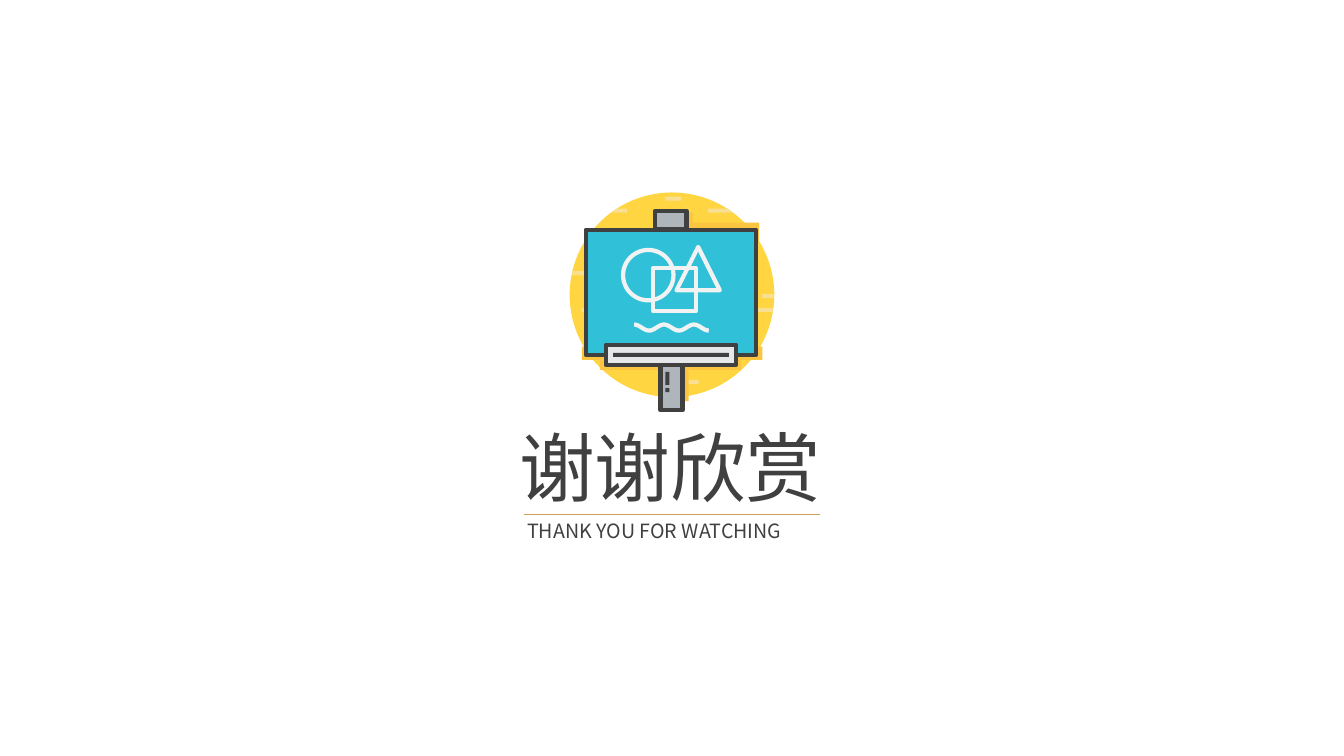
from dataclasses import dataclass
from math import cos, pi

from lxml.etree import SubElement
from pptx import Presentation
from pptx.dml.color import RGBColor
from pptx.enum.shapes import MSO_CONNECTOR, MSO_SHAPE
from pptx.enum.text import MSO_AUTO_SIZE, PP_ALIGN
from pptx.oxml.ns import qn
from pptx.util import Inches, Pt


@dataclass(frozen=True)
class Theme:
    font: str = "Noto Sans CJK SC"
    title_size: float = 54
    subtitle_size: float = 14
    outline_width: float = 3
    rule_width: float = 0.5
    text: str = "404040"
    outline: str = "404041"
    rule: str = "CBA25D"
    disc: str = "FFD641"
    stripe: str = "F9DF92"
    shade: str = "FCC541"
    metal: str = "AFB6BB"
    ledge: str = "E6E7E8"
    board: str = "30C1D8"
    chalk: str = "F1F2F2"


def format_text(frame, text, size, font, color, align=PP_ALIGN.LEFT):
    paragraph = frame.paragraphs[0]
    paragraph.alignment = align
    run = paragraph.add_run()
    run.text = text
    run.font.size = Pt(size)
    run.font.name = font
    run.font.color.rgb = RGBColor.from_string(color)
    SubElement(run.font._element, qn("a:ea")).set("typeface", font)


class SlideBuilder:
    def __init__(self, slide, theme):
        self.slide = slide
        self.theme = theme

    def paint(self, shape, fill, line):
        shape.shadow.inherit = False
        if fill:
            shape.fill.solid()
            shape.fill.fore_color.rgb = RGBColor.from_string(fill)
        else:
            shape.fill.background()
        if line:
            shape.line.color.rgb = RGBColor.from_string(line)
            shape.line.width = Pt(self.theme.outline_width)
        else:
            shape.line.fill.background()

    def shape(self, box, fill=None, line=None, kind=MSO_SHAPE.RECTANGLE):
        shape = self.slide.shapes.add_shape(kind, *map(Inches, box))
        self.paint(shape, fill, line)

    def outline(self, points, fill=None, line=None, close=True):
        corners = [(Inches(x), Inches(y)) for x, y in points]
        builder = self.slide.shapes.build_freeform(*corners[0])
        builder.add_line_segments(corners[1:], close=close)
        self.paint(builder.convert_to_shape(), fill, line)

    def text(self, box, text, wrap=True, **text_format):
        frame = self.slide.shapes.add_textbox(*map(Inches, box)).text_frame
        frame.word_wrap = wrap
        frame.auto_size = MSO_AUTO_SIZE.SHAPE_TO_FIT_TEXT
        format_text(frame, text, font=self.theme.font, color=self.theme.text, **text_format)

    def rule(self, left, right, top):
        connector = self.slide.shapes.add_connector(
            MSO_CONNECTOR.STRAIGHT, Inches(left), Inches(top), Inches(right), Inches(top)
        )
        connector.line.color.rgb = RGBColor.from_string(self.theme.rule)
        connector.line.width = Pt(self.theme.rule_width)
        SubElement(connector._element.spPr, qn("a:effectLst"))


def draw_backdrop(builder):
    theme = builder.theme
    builder.shape((5.65, 1.91, 2.03, 2.03), theme.disc, kind=MSO_SHAPE.OVAL)
    for left, top, width in [(6.69, 3.77, 0.24), (6.6, 1.95, 0.16), (5.77, 3.06, 0.37)]:
        builder.shape((left, top, width, 0.04), theme.stripe)
    cut_stripes = [
        (7.13, 7.13, 7.67, 7.67, 3.06),
        (7.56, 7.56, 7.68, 7.68, 2.92),
        (6.12, 6.06, 6.22, 6.22, 2.07),
        (7.02, 7.02, 7.27, 7.22, 2.07),
        (5.68, 5.67, 5.89, 5.89, 2.69),
    ]
    for top_left, bottom_left, bottom_right, top_right, top in cut_stripes:
        bottom = top + 0.04
        builder.outline(
            [(top_left, top), (bottom_left, bottom), (bottom_right, bottom), (top_right, top)],
            theme.stripe,
        )
    builder.outline(
        [(5.77, 3.44), (7.56, 3.44), (7.56, 3.57), (7.35, 3.57), (7.35, 3.67), (6.83, 3.67),
         (6.83, 3.98), (6.74, 3.98), (6.74, 3.67), (5.95, 3.67), (5.95, 3.57), (5.77, 3.57)],
        theme.shade,
    )
    builder.outline(
        [(6.72, 2.11), (6.87, 2.11), (6.87, 2.21), (7.53, 2.21), (7.53, 2.41), (6.72, 2.41)],
        theme.shade,
    )


def draw_easel(builder):
    theme = builder.theme
    builder.shape((6.55, 3.62, 0.22, 0.45), theme.metal, theme.outline)
    for top, height in [(3.69, 0.13), (3.85, 0.04)]:
        builder.shape((6.6, top, 0.04, height), theme.outline)
    builder.shape((5.81, 2.28, 1.69, 1.24), theme.board, theme.outline)
    builder.shape((6.01, 3.42, 1.29, 0.2), theme.ledge, theme.outline)
    builder.shape((6.08, 3.5, 1.15, 0.04), theme.outline)
    builder.shape((6.5, 2.09, 0.31, 0.18), theme.metal, theme.outline)


def draw_chalk(builder):
    chalk = builder.theme.chalk
    builder.shape((6.18, 2.48, 0.5, 0.5), line=chalk, kind=MSO_SHAPE.OVAL)
    builder.shape((6.48, 2.66, 0.42, 0.43), line=chalk)
    builder.shape((6.71, 2.45, 0.43, 0.43), line=chalk, kind=MSO_SHAPE.ISOSCELES_TRIANGLE)
    steps = 60
    wave = [
        (6.29 + 0.74 * step / steps, 3.25 - 0.03 * cos(5 * pi * step / steps))
        for step in range(steps + 1)
    ]
    builder.outline(wave, line=chalk, close=False)


def main():
    presentation = Presentation()
    presentation.slide_width = Inches(13.33)
    presentation.slide_height = Inches(7.5)
    theme = Theme()
    builder = SlideBuilder(presentation.slides.add_slide(presentation.slide_layouts[6]), theme)
    draw_backdrop(builder)
    draw_easel(builder)
    draw_chalk(builder)
    builder.text((5.05, 4.13, 3.23, 1.01), "谢谢欣赏", wrap=False, size=theme.title_size)
    builder.text(
        (5.13, 5.1, 3.08, 0.34),
        "THANK YOU FOR WATCHING",
        size=theme.subtitle_size,
        align=PP_ALIGN.JUSTIFY,
    )
    builder.rule(5.2, 8.13, 5.1)
    presentation.save("out.pptx")


if __name__ == "__main__":
    main()
